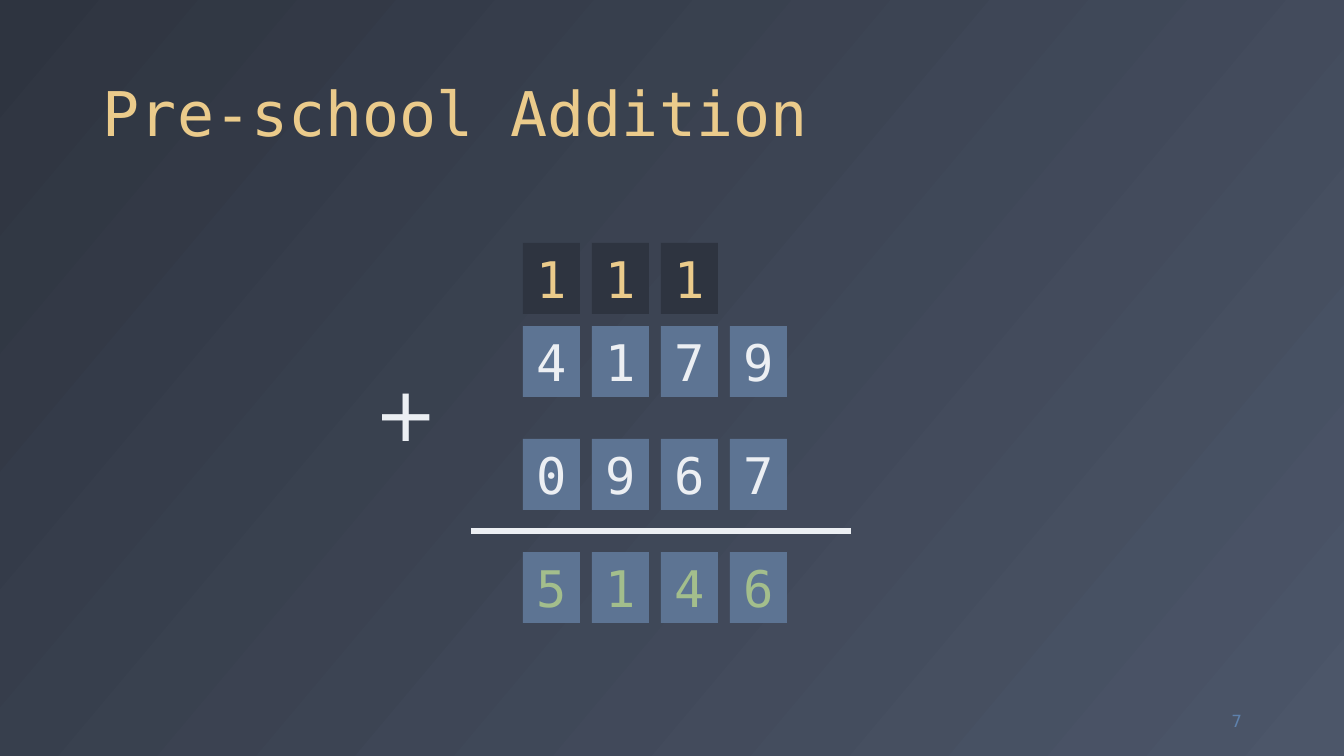
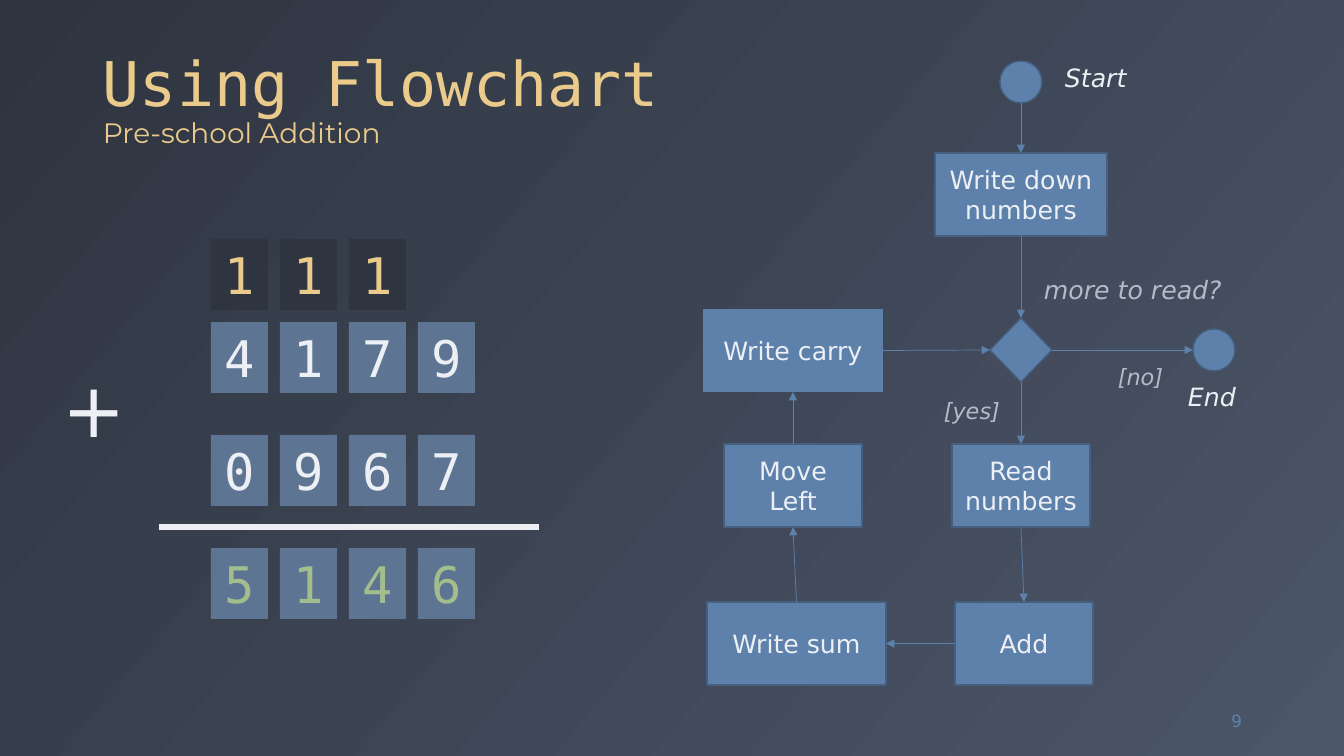
import lxml.etree
import pptx
import pptx.dml.color
import pptx.enum.shapes
import pptx.enum.text
import pptx.oxml.ns
import pptx.util

RGBColor = pptx.dml.color.RGBColor
SHAPE = pptx.enum.shapes.MSO_SHAPE
ALIGN = pptx.enum.text.PP_ALIGN
ANCHOR = pptx.enum.text.MSO_ANCHOR
qn = pptx.oxml.ns.qn

# Shared look
NIGHT = RGBColor(0x2E, 0x34, 0x40)
SLATE = RGBColor(0x4C, 0x56, 0x69)
SAND = RGBColor(0xEB, 0xCB, 0x8B)
SNOW = RGBColor(0xEC, 0xEF, 0xF3)
MIST = RGBColor(0xB3, 0xBA, 0xC8)
GREEN = RGBColor(0xA3, 0xBE, 0x8C)
TILE = RGBColor(0x5D, 0x74, 0x93)
BLUE = RGBColor(0x5E, 0x81, 0xAC)
BLUE_EDGE = RGBColor(0x46, 0x5F, 0x7F)
SANS, MONO, SUBTITLE_FONT = "DejaVu Sans", "DejaVu Sans Mono", "Montserrat"

EMU_PER_PX = 914400 / 100.8
PAGE_WIDTH, PAGE_HEIGHT = 1344, 756

# Connection sites
TOP, LEFT, BOTTOM, RIGHT = range(4)


def px(*lengths):
    return [round(length * EMU_PER_PX) for length in lengths]


def style_span(span, size, color, font=SANS, italic=False):
    span.font.name = font
    span.font.size = pptx.util.Pt(size)
    span.font.color.rgb = color
    span.font.italic = italic


def add_text(page, box, text, size, color, italic=False, wrap=False, anchor=ANCHOR.TOP):
    frame = page.shapes.add_textbox(*px(*box)).text_frame
    frame.word_wrap = wrap
    frame.vertical_anchor = anchor
    frame.text = text
    para = frame.paragraphs[0]
    for span in para.runs:
        style_span(span, size, color, italic=italic)
    return para


def add_block(page, kind, box, fill, edge=None):
    block = page.shapes.add_shape(kind, *px(*box))
    block.shadow.inherit = False
    block.fill.solid()
    block.fill.fore_color.rgb = fill
    if edge is None:
        block.line.fill.background()
    else:
        block.line.color.rgb = edge
        block.line.width = pptx.util.Pt(1)
    return block


def fill_block(block, text, size, color, font, anchor):
    frame = block.text_frame
    frame.word_wrap = True
    frame.vertical_anchor = anchor
    frame.text = text
    frame.paragraphs[0].alignment = ALIGN.CENTER
    style_span(frame.paragraphs[0].runs[0], size, color, font)


def add_line(page, ends, color, weight, arrow=False):
    line = page.shapes.add_connector(pptx.enum.shapes.MSO_CONNECTOR.STRAIGHT, *ends)
    line.line.color.rgb = color
    line.line.width = pptx.util.Pt(weight)
    properties = line._element.spPr
    if arrow:
        lxml.etree.SubElement(properties.find(qn("a:ln")), qn("a:tailEnd"), type="triangle")
    lxml.etree.SubElement(properties, qn("a:effectLst"))
    return line


def add_page(deck, title, number, subtitle=None):
    page = deck.slides.add_slide(deck.slide_layouts[6])

    # Background, dark at top left
    fill = page.background.fill
    fill.gradient()
    fill.gradient_angle = 320
    for stop, color in zip(fill.gradient_stops, (NIGHT, SLATE)):
        stop.color.rgb = color

    # Title, with an optional smaller second line
    text = f"{title}\v{subtitle}" if subtitle else title
    para = add_text(page, (93, 18, 1159, 137), text, 44, SAND, wrap=True, anchor=ANCHOR.BOTTOM)
    para.line_spacing = 0.9
    for span, size, font in zip(para.runs, (44, 20), (MONO, SUBTITLE_FONT)):
        style_span(span, size, SAND, font)

    # Page number
    para = add_text(page, (1168, 701, 84, 40), number, 12, BLUE, wrap=True, anchor=ANCHOR.MIDDLE)
    para.alignment = ALIGN.RIGHT
    return page


def add_column_sum(page, left, top):
    """Long addition; left and top give the corner of the first carry."""
    rows = (
        (0, "111", NIGHT, SAND),
        (83, "4179", TILE, SNOW),
        (196, "0967", TILE, SNOW),
        (309, "5146", TILE, GREEN),
    )
    for offset, digits, fill, color in rows:
        for column, digit in enumerate(digits):
            cell = add_block(page, SHAPE.RECTANGLE, (left + 69 * column, top + offset, 57, 71), fill)
            fill_block(cell, digit, 36, color, MONO, ANCHOR.TOP)

    # Plus sign and rule above the total
    add_text(page, (left - 158, top + 118, 83, 102), "+", 54, SNOW)
    add_line(page, px(left - 52, top + 288, left + 328, top + 288), SNOW, 4.5)


def side_point(node, side):
    across = {LEFT: 0, RIGHT: node.width}.get(side, node.width // 2)
    down = {TOP: 0, BOTTOM: node.height}.get(side, node.height // 2)
    return node.left + across, node.top + down


def add_flowchart(page, left, top):
    # Nodes: kind, box within the chart, text
    process, circle = SHAPE.FLOWCHART_PROCESS, SHAPE.FLOWCHART_CONNECTOR
    layout = {
        "start": (circle, (297, 4, 42, 42), ""),
        "write": (process, (232, 96, 172, 83), "Write down numbers"),
        "more": (SHAPE.DIAMOND, (287, 261, 62, 64), ""),
        "end": (circle, (490, 272, 42, 42), ""),
        "read": (process, (249, 387, 138, 83), "Read numbers"),
        "add": (process, (252, 545, 138, 83), "Add"),
        "sum": (process, (4, 545, 179, 83), "Write sum"),
        "move": (process, (21, 387, 138, 83), "Move Left"),
        "carry": (process, (0, 252, 180, 83), "Write carry"),
    }
    nodes = {}
    for name, (kind, (x, y, width, height), text) in layout.items():
        edge = None if name == "carry" else BLUE_EDGE
        nodes[name] = add_block(page, kind, (left + x, top + y, width, height), BLUE, edge)
        if text:
            fill_block(nodes[name], text, 18, SNOW, SANS, ANCHOR.MIDDLE)

    # Arrows; circles have other sites, so only the remaining ends are joined
    arrows = (
        ("start", BOTTOM, "write", TOP),
        ("write", BOTTOM, "more", TOP),
        ("more", BOTTOM, "read", TOP),
        ("more", RIGHT, "end", LEFT),
        ("read", BOTTOM, "add", TOP),
        ("add", LEFT, "sum", RIGHT),
        ("sum", TOP, "move", BOTTOM),
        ("move", TOP, "carry", BOTTOM),
        ("carry", RIGHT, "more", LEFT),
    )
    for source, source_side, target, target_side in arrows:
        ends = side_point(nodes[source], source_side) + side_point(nodes[target], target_side)
        arrow = add_line(page, ends, BLUE, 0.5, arrow=True)
        if layout[source][0] != circle:
            arrow.begin_connect(nodes[source], source_side)
        if layout[target][0] != circle:
            arrow.end_connect(nodes[target], target_side)

    # Labels
    labels = (
        ("Start", (352, 0, 84, 40), 18, SNOW),
        ("more to read?", (331, 212, 201, 40), 18, MIST),
        ("[yes]", (231, 335, 80, 37), 16, MIST),
        ("[no]", (405, 301, 69, 37), 16, MIST),
        ("End", (475, 319, 69, 40), 18, SNOW),
    )
    for text, (x, y, width, height), size, color in labels:
        add_text(page, (left + x, top + y, width, height), text, size, color, italic=True)


def main():
    deck = pptx.Presentation()
    deck.slide_width, deck.slide_height = px(PAGE_WIDTH, PAGE_HEIGHT)

    page = add_page(deck, "Pre-school Addition", "7")
    add_column_sum(page, 523, 243)

    page = add_page(deck, "Using Flowchart", "9", subtitle="Pre-school Addition")
    add_column_sum(page, 211, 239)
    add_flowchart(page, 703, 57)

    deck.save("out.pptx")


if __name__ == "__main__":
    main()
